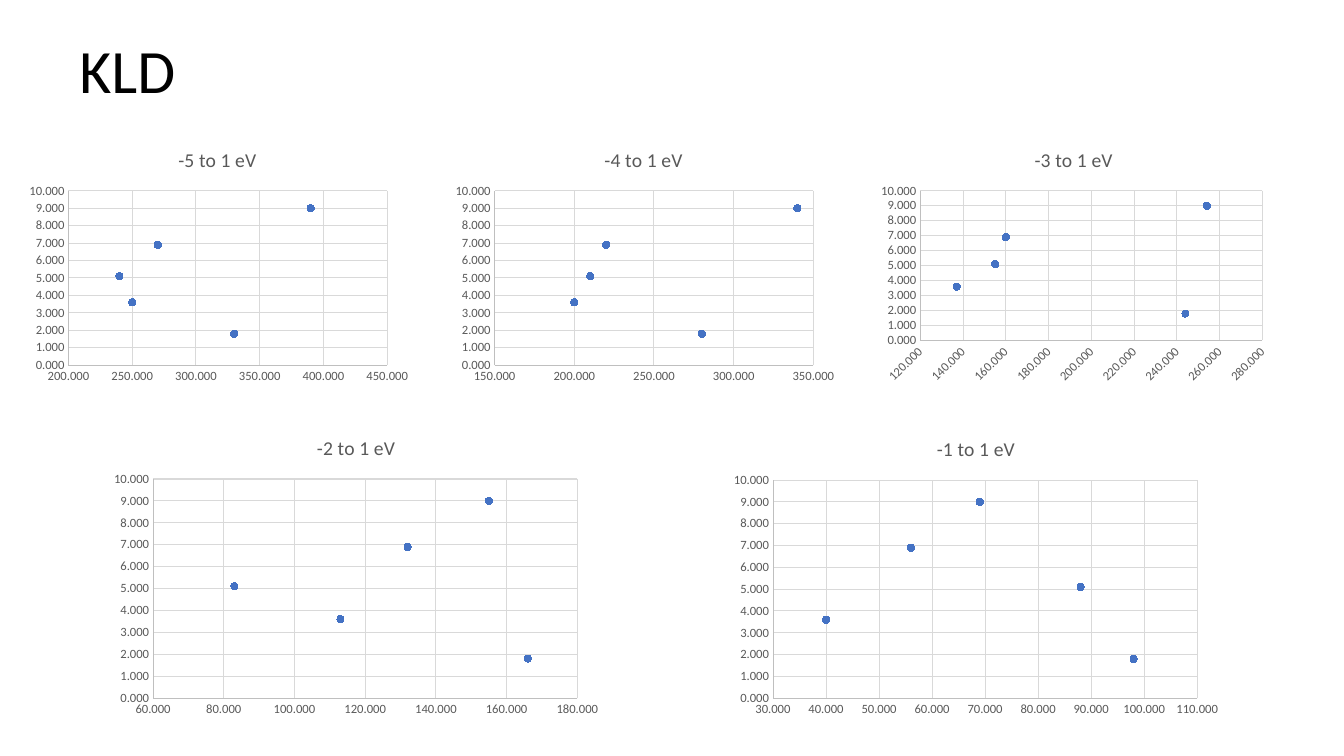
from pptx import Presentation
from pptx.chart.data import XyChartData as XyData
from pptx.dml.color import RGBColor as Rgb
from pptx.enum.chart import XL_CHART_TYPE as Kind, XL_MARKER_STYLE as Mark, XL_TICK_MARK as Tick
from pptx.enum.text import MSO_ANCHOR as Anchor
from pptx.oxml import parse_xml
from pptx.oxml.ns import nsdecls, qn
from pptx.util import Pt

theme = {
    "font": "Calibri",
    "ink": Rgb(0x00, 0x00, 0x00),
    "text": Rgb(0x59, 0x59, 0x59),
    "axis": Rgb(0xBF, 0xBF, 0xBF),
    "grid": Rgb(0xD9, 0xD9, 0xD9),
    "dot": Rgb(0x44, 0x72, 0xC4),
    "head": Pt(44),
    "title": Pt(14),
    "base": Pt(10),
    "label": Pt(9),
    "line": Pt(0.75),
}


def style(font, size, color):
    for key, value in {"name": theme["font"], "size": size, "bold": False}.items():
        setattr(font, key, value)
    font.color.rgb = color


def place(node, index, inner, **parts):
    for old in node.findall(qn("c:layout")):
        node.remove(old)
    target = '<c:layoutTarget val="inner"/>' if inner else ""
    modes = "".join(f'<c:{key}Mode val="edge"/>' for key in "xy")
    sizes = "".join(f'<c:{key} val="{value:.4f}"/>' for key, value in parts.items())
    node.insert(index, parse_xml(
        f'<c:layout {nsdecls("c")}><c:manualLayout>{target}{modes}{sizes}'
        "</c:manualLayout></c:layout>"))


deck = Presentation()
deck.slide_width, deck.slide_height = Pt(960), Pt(540)
slide = deck.slides.add_slide(deck.slide_layouts[6])

frame = slide.shapes.add_textbox(Pt(49.7), Pt(0), Pt(828), Pt(104.4)).text_frame
for key, value in {"word_wrap": True, "vertical_anchor": Anchor.MIDDLE}.items():
    setattr(frame, key, value)
head = frame.paragraphs[0]
head.line_spacing = 0.9
run = head.add_run()
run.text = "KLD"
style(run.font, theme["head"], theme["ink"])

heights = [9, 6.9, 5.1, 3.6, 1.8]
top_row = {"top": 94.3, "high": 183.6, "left": 33.8, "right": 20, "foot": 17, "turn": 0}
low_row = {"top": 300.2, "high": 216, "left": 34.5, "right": 22.5, "foot": 17.5, "turn": 0}
turned = {**top_row, "right": 9.7, "foot": 34.6, "turn": -45}
last = {**low_row, "top": 301, "foot": 18.2}
plots = [
    ("-5 to 1 eV", 15.1, 281.5, top_row, (200, 450, 50), [390, 270, 240, 250, 330]),
    ("-4 to 1 eV", 319.5, 281.5, top_row, (150, 350, 50), [340, 220, 210, 200, 280]),
    ("-3 to 1 eV", 623.5, 288, turned, (120, 280, 20), [254, 160, 155, 137, 244]),
    ("-2 to 1 eV", 74.9, 360, low_row, (60, 180, 20), [155, 132, 83, 113, 166]),
    ("-1 to 1 eV", 517.7, 360, last, (30, 110, 10), [69, 56, 88, 40, 98]),
]

for name, left, wide, row, span, values in plots:
    high = row["high"]
    data = XyData(number_format="0.000")
    series = data.add_series("Series 1")
    for x, y in zip(values, heights):
        series.add_data_point(x, y)
    chart = slide.shapes.add_chart(
        Kind.XY_SCATTER, Pt(left), Pt(row["top"]), Pt(wide), Pt(high), data).chart
    for key, value in {"has_legend": False, "has_title": True}.items():
        setattr(chart, key, value)
    style(chart.font, theme["base"], theme["ink"])

    title = chart.chart_title
    title.include_in_layout = False
    run = title.text_frame.paragraphs[0].add_run()
    run.text = name
    style(run.font, theme["title"], theme["text"])
    place(title._element, 1, False, x=(wide - 62) / 2 / wide, y=7.7 / high)
    place(chart._chartSpace.xpath(".//c:plotArea")[0], 0, True,
          x=row["left"] / wide, y=42 / high,
          w=(wide - row["left"] - row["right"]) / wide, h=(high - 42 - row["foot"]) / high)

    for axis, (low, peak, step) in ((chart.category_axis, span), (chart.value_axis, (0, 10, 1))):
        look = {
            "minimum_scale": low, "maximum_scale": peak, "major_unit": step,
            "major_tick_mark": Tick.NONE, "minor_tick_mark": Tick.NONE,
            "has_major_gridlines": True,
        }
        for key, value in look.items():
            setattr(axis, key, value)
        for line, color in ((axis.format.line, "axis"), (axis.major_gridlines.format.line, "grid")):
            line.color.rgb = theme[color]
            line.width = theme["line"]
        labels = axis.tick_labels
        for key, value in {"number_format": "0.000", "number_format_is_linked": False}.items():
            setattr(labels, key, value)
        style(labels.font, theme["label"], theme["text"])
    if row["turn"]:
        body = chart.category_axis._element.xpath("c:txPr/a:bodyPr")[0]
        body.set("rot", str(row["turn"] * 60000))

    dots = chart.plots[0].series[0]
    dots.smooth = False
    dots.format.line.fill.background()
    chart.plots[0].vary_by_categories = False
    marker = dots.marker
    for key, value in {"style": Mark.CIRCLE, "size": 5}.items():
        setattr(marker, key, value)
    marker.format.fill.solid()
    marker.format.fill.fore_color.rgb = theme["dot"]
    marker.format.line.color.rgb = theme["dot"]

deck.save("out.pptx")
